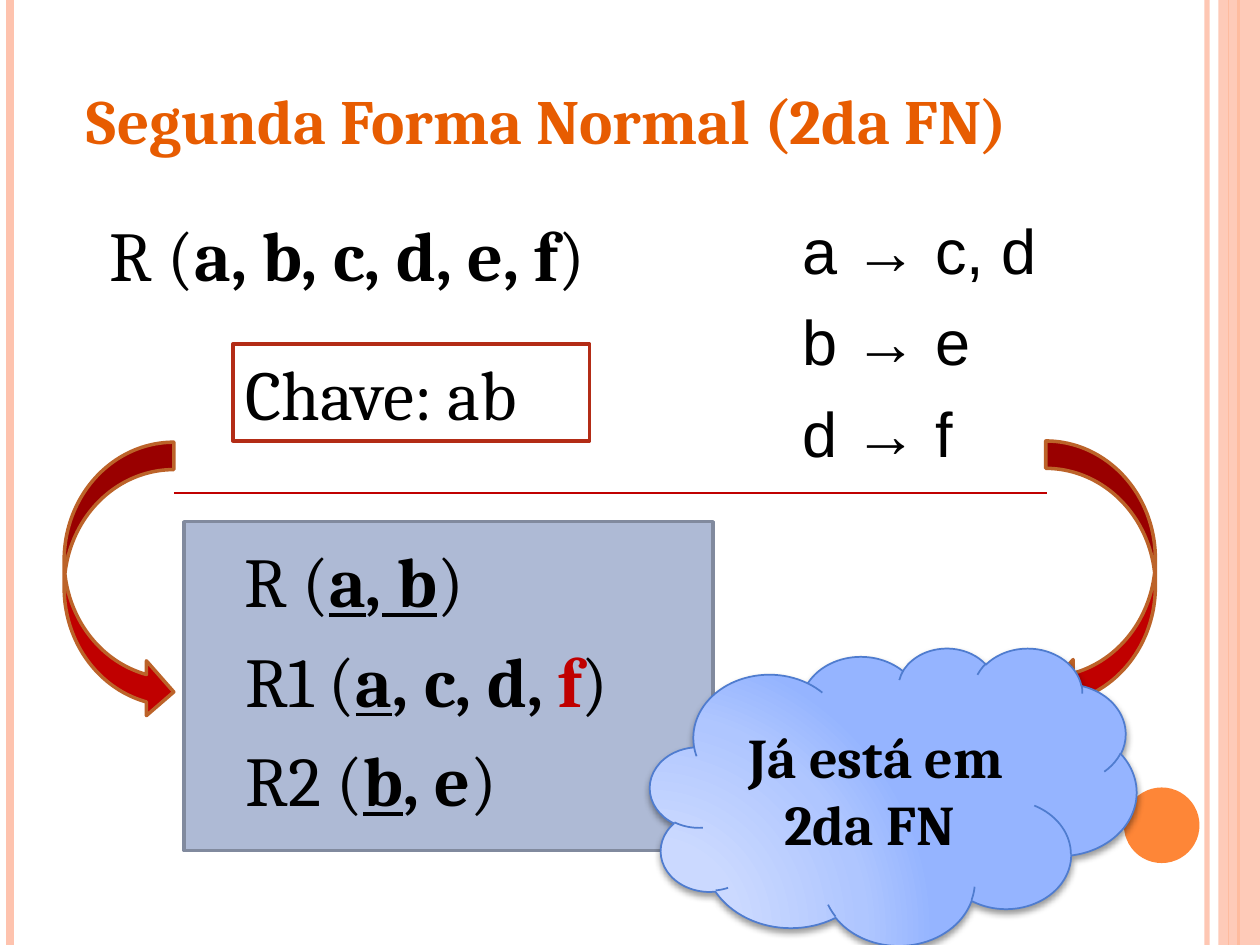
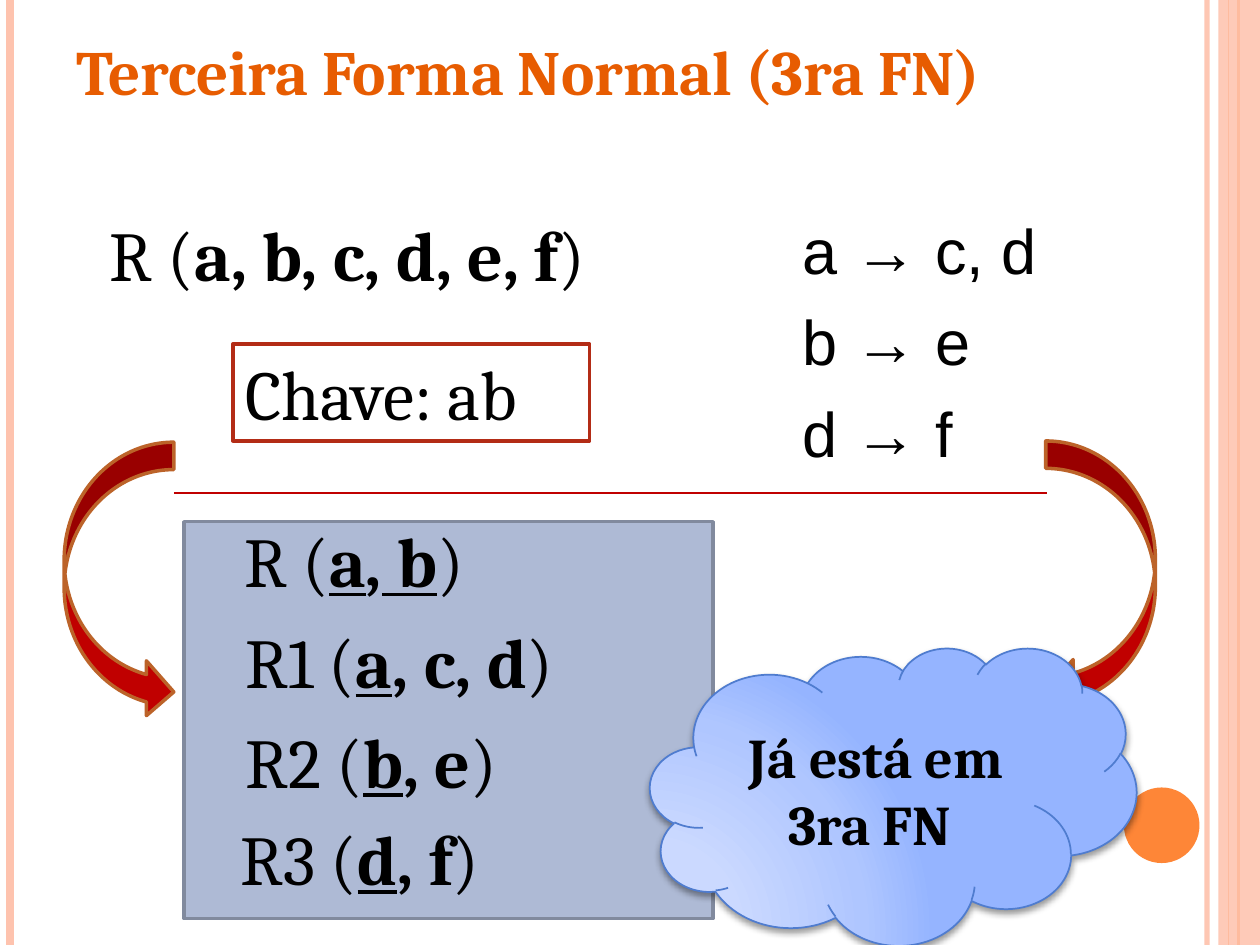
import lxml.etree
import pptx
import pptx.dml.color
import pptx.enum.dml
import pptx.enum.shapes
import pptx.enum.text
import pptx.oxml
import pptx.oxml.ns
import pptx.util

Inches = pptx.util.Inches
Pt = pptx.util.Pt
SHAPES = pptx.enum.shapes.MSO_SHAPE
ALIGN = pptx.enum.text.PP_ALIGN
ANCHOR = pptx.enum.text.MSO_ANCHOR

COLORS = {
    "title": "E75C01",
    "text": "000000",
    "white": "FFFFFF",
    "peach": "FEC3AE",
    "orange": "FE8637",
    "panel": "AEBAD5",
    "panel_line": "818A9E",
    "key_line": "B32C16",
    "red": "C00000",
    "arrow_line": "BC6329",
    "cloud_line": "4F7CCF",
}
CLOUD_STOPS = [(0, "CFDCFF"), (30, "CBD9FF"), (75, "AFC6FF"), (100, "95B4FF")]
SERIF, SANS = "Cambria", "Arial"
SLIDE_HEIGHT = 7.5
ROW_HEIGHT = 0.77
# x, width in points, colour, opacity in percent
EDGE_LINES = [
    (9.58, 3, "peach", 93),
    (0.08, 4.5, "peach", 100),
    (9.83, 1.5, "orange", 100),
    (9.75, 0.75, "orange", 100),
]
DEPENDENCIES = ["a → c, d", "b → e", "d → f"]


def rgb(name):
    return pptx.dml.color.RGBColor.from_string(COLORS[name])


def set_opacity(element, percent):
    """Make the solid colour inside element partly transparent."""
    color = next(element.iter(pptx.oxml.ns.qn("a:srgbClr")))
    alpha = lxml.etree.SubElement(color, pptx.oxml.ns.qn("a:alpha"))
    alpha.set("val", str(percent * 1000))


def format_run(run, size, font=SERIF, color="text", bold=False, underline=False):
    run.font.size = Pt(size)
    run.font.name = font
    run.font.color.rgb = rgb(color)
    run.font.bold = bold
    run.font.underline = underline


def add_line(slide, start, end, width, color, opacity=100):
    line = slide.shapes.add_connector(
        pptx.enum.shapes.MSO_CONNECTOR.STRAIGHT,
        *(Inches(value) for value in start + end))
    line.line.width = Pt(width)
    line.line.color.rgb = rgb(color)
    if opacity < 100:
        set_opacity(line.element.spPr, opacity)
    lxml.etree.SubElement(line.element.spPr, pptx.oxml.ns.qn("a:effectLst"))


def add_preset(slide, kind, box, fill, line=None, width=2):
    shape = slide.shapes.add_shape(kind, *(Inches(value) for value in box))
    shape.shadow.inherit = False
    shape.fill.solid()
    shape.fill.fore_color.rgb = rgb(fill)
    if line:
        shape.line.color.rgb = rgb(line)
        shape.line.width = Pt(width)
    else:
        shape.line.fill.background()
    return shape


def add_text_box(slide, box):
    shape = slide.shapes.add_textbox(*(Inches(value) for value in box))
    shape.text_frame.word_wrap = True
    return shape.text_frame


def add_edge_bands(slide):
    for x, width, color, opacity in EDGE_LINES:
        add_line(slide, (x, 0), (x, SLIDE_HEIGHT), width, color, opacity)
    band = add_preset(slide, SHAPES.RECTANGLE, (9.67, 0, 0.33, SLIDE_HEIGHT), "peach")
    set_opacity(band.element.spPr, 87)
    add_preset(slide, SHAPES.OVAL, (8.92, 6.25, 0.6, 0.6), "orange")


def set_title(slide, text, box):
    title = slide.shapes.title
    title.left, title.top, title.width, title.height = (Inches(value) for value in box)
    frame = title.text_frame
    frame.text = text
    frame.word_wrap = True
    frame.auto_size = pptx.enum.text.MSO_AUTO_SIZE.NONE
    frame.vertical_anchor = ANCHOR.TOP
    frame.paragraphs[0].alignment = ALIGN.LEFT
    format_run(frame.paragraphs[0].runs[0], 36, color="title", bold=True)


def add_relation(slide, left, top, name, parts):
    """Write name (parts); each part is text and its role: key, plain or violation."""
    paragraph = add_text_box(slide, (left, top, 5.34, ROW_HEIGHT)).paragraphs[0]
    paragraph.alignment = ALIGN.JUSTIFY
    for text, role in [(f"{name} (", None), *parts, (")", None)]:
        run = paragraph.add_run()
        run.text = text
        format_run(run, 40, bold=role is not None, underline=role == "key",
                   color="red" if role == "violation" else "text")


def add_dependencies(slide):
    frame = add_text_box(slide, (5.89, 1.63, 3.11, 2.28))
    frame.text = "\n".join(DEPENDENCIES)
    for paragraph in frame.paragraphs:
        paragraph.space_before = Pt(9)
        paragraph._p.get_or_add_pPr().set("marL", str(Inches(0.38)))
        format_run(paragraph.runs[0], 36, font=SANS)


def add_candidate_key(slide):
    shape = add_preset(slide, SHAPES.RECTANGLE, (1.85, 2.73, 2.83, ROW_HEIGHT),
                       "white", "key_line")
    frame = shape.text_frame
    frame.text = "Chave: ab"
    frame.vertical_anchor = ANCHOR.TOP
    frame.paragraphs[0].alignment = ALIGN.JUSTIFY
    format_run(frame.paragraphs[0].runs[0], 40)


def add_curved_arrow(slide, left, top, flipped=False):
    arrow = add_preset(slide, SHAPES.CURVED_LEFT_ARROW, (left, top, 0.87, 2.2),
                       "red", "arrow_line")
    if flipped:
        arrow.element.spPr.find(pptx.oxml.ns.qn("a:xfrm")).set("flipH", "1")


def add_cloud(slide, text):
    cloud = add_preset(slide, SHAPES.CLOUD, (5.16, 5.14, 3.86, 2.36),
                       "white", "cloud_line", 1)
    namespace = pptx.oxml.ns.nsdecls("a")
    stops = "".join(
        f'<a:gs pos="{position * 1000}"><a:srgbClr val="{color}"/></a:gs>'
        for position, color in CLOUD_STOPS)
    gradient = pptx.oxml.parse_xml(
        f'<a:gradFill {namespace} rotWithShape="1"><a:gsLst>{stops}</a:gsLst>'
        '<a:path path="circle"><a:fillToRect l="5000" t="100000" r="120000" b="10000"/>'
        '</a:path></a:gradFill>')
    shadow = pptx.oxml.parse_xml(
        f'<a:outerShdw {namespace} blurRad="{Pt(4)}" dist="{Pt(2)}" dir="5400000" '
        'rotWithShape="0"><a:srgbClr val="000000"><a:alpha val="40000"/></a:srgbClr>'
        '</a:outerShdw>')
    properties = cloud.element.spPr
    properties.replace(properties.find(pptx.oxml.ns.qn("a:solidFill")), gradient)
    properties.find(pptx.oxml.ns.qn("a:effectLst")).append(shadow)
    frame = cloud.text_frame
    frame.text = text
    frame.vertical_anchor = ANCHOR.MIDDLE
    frame.paragraphs[0].alignment = ALIGN.CENTER
    format_run(frame.paragraphs[0].runs[0], 32, bold=True)


def add_normal_form_slide(presentation, title, title_box, panel_height, relations, verdict):
    slide = presentation.slides.add_slide(presentation.slide_layouts[5])
    add_edge_bands(slide)
    set_title(slide, title, title_box)
    add_preset(slide, SHAPES.RECTANGLE, (1.46, 4.14, 4.2, panel_height),
               "panel", "panel_line")
    add_dependencies(slide)
    add_relation(slide, 0.77, 1.63, "R", [("a, b, c, d, e, f", "plain")])
    add_candidate_key(slide)
    add_curved_arrow(slide, 8.3, 3.5)
    add_line(slide, (1.38, 3.91), (8.31, 3.91), 1, "red")
    add_curved_arrow(slide, 0.51, 3.51, flipped=True)
    for left, top, name, parts in relations:
        add_relation(slide, left, top, name, parts)
    add_cloud(slide, verdict)


def main():
    presentation = pptx.Presentation()
    presentation.slide_width = Inches(10)
    presentation.slide_height = Inches(SLIDE_HEIGHT)

    key_pair = [("a", "key"), (",", "plain"), (" b", "key")]
    b_relation = [("b", "key"), (", e", "plain")]
    add_normal_form_slide(
        presentation, "Segunda Forma Normal (2da FN)", (0.59, 0.6, 8.86, 0.71), 2.61,
        [(1.84, 4.22, "R", key_pair),
         (1.85, 5.01, "R1", [("a", "key"), (", c, d, ", "plain"), ("f", "violation")]),
         (1.85, 5.8, "R2", b_relation)],
        "Já está em 2da FN ")
    add_normal_form_slide(
        presentation, "Terceira Forma Normal (3ra FN)", (0.51, 0.21, 8.75, 0.71), 3.15,
        [(1.84, 4.06, "R", key_pair),
         (1.85, 4.86, "R1", [("a", "key"), (", c, d", "plain")]),
         (1.85, 5.65, "R2", b_relation),
         (1.81, 6.42, "R3", [("d", "key"), (", f", "plain")])],
        "Já está em 3ra FN ")
    presentation.save("out.pptx")


if __name__ == "__main__":
    main()
